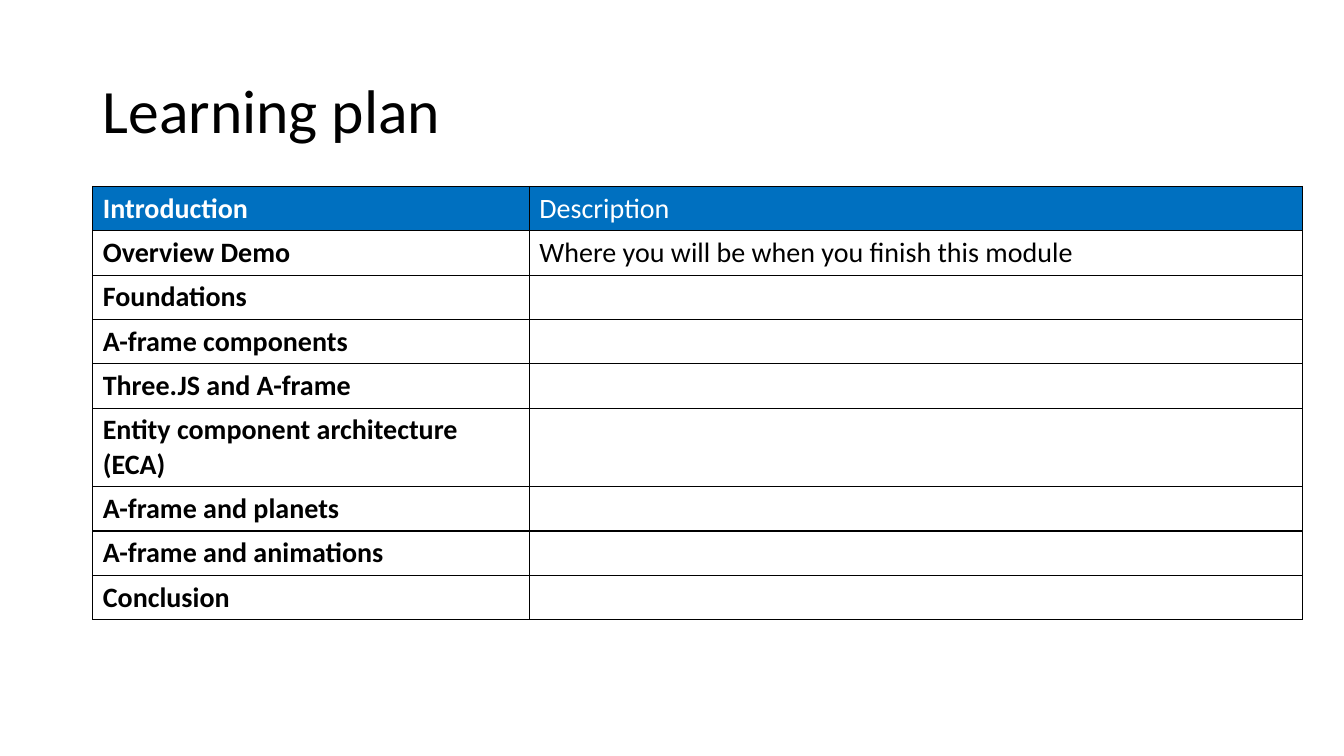
from dataclasses import dataclass

from lxml import etree
from pptx import Presentation
from pptx.dml.color import RGBColor
from pptx.enum import text
from pptx.oxml.ns import qn
from pptx.util import Inches, Pt

TITLE = "Learning plan"
PLAN = [
    ("Introduction", "Description"),
    ("Overview Demo", "Where you will be when you finish this module"),
    ("Foundations", ""),
    ("A-frame components", ""),
    ("Three.JS and A-frame", ""),
    ("Entity component architecture (ECA)", ""),
    ("A-frame and planets", ""),
    ("A-frame and animations", ""),
    ("Conclusion", ""),
]
COLUMN_WIDTHS = (4.33, 7.67)
ROW_HEIGHT, TALL_ROW_HEIGHT = 0.44, 0.78
TALL_ROW = 5
LEFT, TABLE_TOP = 0.92, 1.85


@dataclass(frozen=True)
class Theme:
    font: str = "Calibri"
    title_size: int = 44
    cell_size: int = 20
    border_width: int = 1
    ink: str = "000000"
    header_ink: str = "FFFFFF"
    header_fill: str = "0070C0"


THEME = Theme()


def style_text(tf, size, color, bold=False):
    for p in tf.paragraphs:
        for r in p.runs:
            r.font.name = THEME.font
            r.font.size = Pt(size)
            r.font.bold = bold
            r.font.color.rgb = RGBColor.from_string(color)


def add_borders(cell):
    """Draw all four cell edges; they must precede the fill in tcPr."""
    tc_pr = cell._tc.get_or_add_tcPr()
    for i, edge in enumerate(("lnL", "lnR", "lnT", "lnB")):
        line = etree.Element(qn(f"a:{edge}"), w=str(Pt(THEME.border_width)))
        fill = etree.SubElement(line, qn("a:solidFill"))
        etree.SubElement(fill, qn("a:srgbClr"), val=THEME.ink)
        tc_pr.insert(i, line)


def add_title(s):
    sp = s.shapes.add_textbox(Inches(LEFT), Inches(0.4), Inches(11.5), Inches(1.45))
    tf = sp.text_frame
    tf.word_wrap = True
    tf.vertical_anchor = text.MSO_ANCHOR.MIDDLE
    tf.text = TITLE
    tf.paragraphs[0].line_spacing = 0.9
    style_text(tf, THEME.title_size, THEME.ink)


def add_plan(s):
    heights = [TALL_ROW_HEIGHT if i == TALL_ROW else ROW_HEIGHT for i in range(len(PLAN))]
    table = s.shapes.add_table(
        len(PLAN), len(COLUMN_WIDTHS), Inches(LEFT), Inches(TABLE_TOP),
        Inches(sum(COLUMN_WIDTHS)), Inches(sum(heights))).table
    table.horz_banding = False
    for column, width in zip(table.columns, COLUMN_WIDTHS):
        column.width = Inches(width)
    for i, (row, height) in enumerate(zip(PLAN, heights)):
        table.rows[i].height = Inches(height)
        for j, label in enumerate(row):
            cell = table.cell(i, j)
            if i == 0:
                cell.fill.solid()
                cell.fill.fore_color.rgb = RGBColor.from_string(THEME.header_fill)
            else:
                cell.fill.background()
            add_borders(cell)
            if label:
                cell.text_frame.text = label
                color = THEME.header_ink if i == 0 else THEME.ink
                style_text(cell.text_frame, THEME.cell_size, color, bold=j == 0)


def main():
    prs = Presentation()
    prs.slide_width, prs.slide_height = Inches(13.33), Inches(7.5)
    s = prs.slides.add_slide(prs.slide_layouts[6])
    add_title(s)
    add_plan(s)
    prs.save("out.pptx")


if __name__ == "__main__":
    main()
